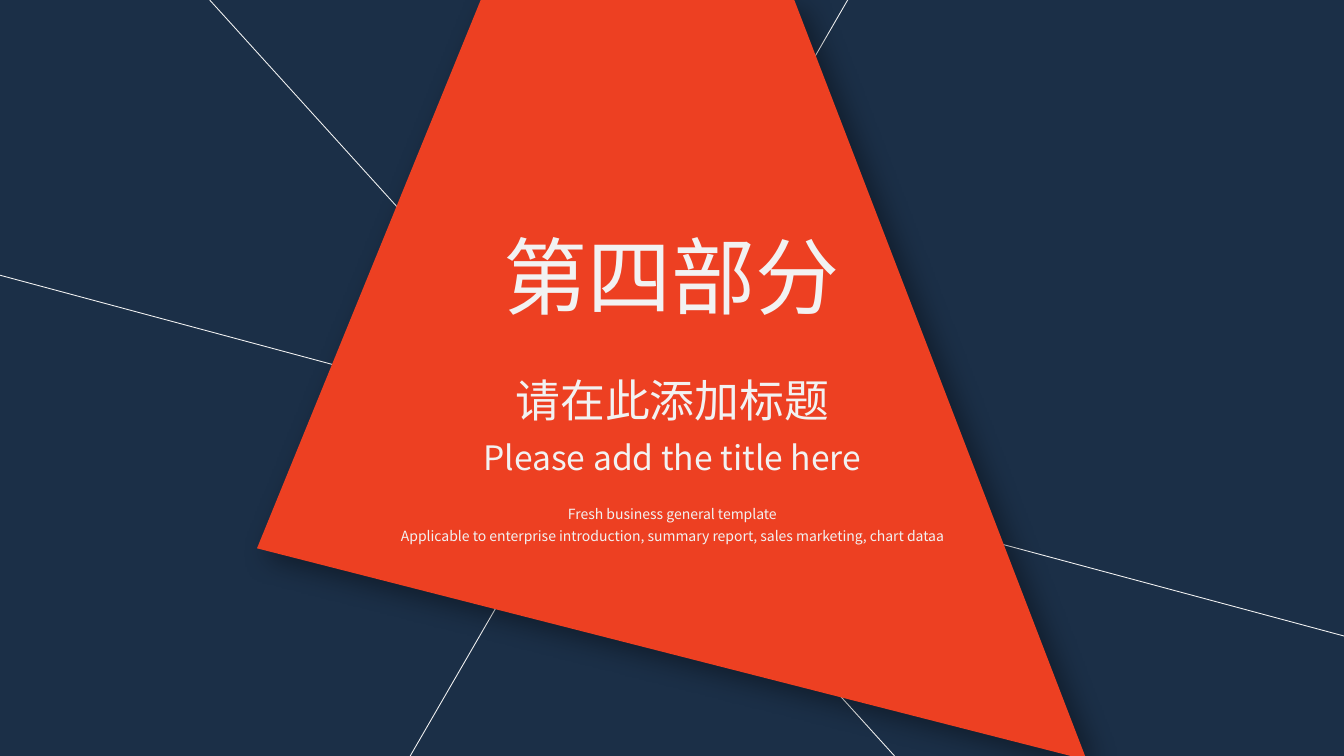
from lxml.etree import SubElement
from pptx import Presentation
from pptx.dml.color import RGBColor
from pptx.enum.shapes import MSO_CONNECTOR
from pptx.enum.text import MSO_ANCHOR, MSO_AUTO_SIZE, PP_ALIGN
from pptx.oxml.ns import qn
from pptx.util import Pt


def paint(fill, tone):
    fill.solid()
    fill.fore_color.rgb = RGBColor.from_string(tone)


class Deck:
    font = "Noto Sans CJK SC"
    navy = "1B2F47"
    red = "ED4022"
    pale = "F2F2F2"

    def __init__(self, show):
        self.slide = show.slides.add_slide(show.slide_layouts[5])
        self.shapes = self.slide.shapes
        paint(self.slide.background.fill, self.navy)

    def line(self, x1, y1, x2, y2):
        rule = self.shapes.add_connector(
            MSO_CONNECTOR.STRAIGHT, Pt(x1), Pt(y1), Pt(x2), Pt(y2))
        paint(rule.line.fill, self.pale)
        rule.line.width = Pt(0.63)
        SubElement(rule.element.spPr, qn("a:effectLst"))

    def panel(self, start, *rest):
        form = self.shapes.build_freeform(Pt(start[0]), Pt(start[1]))
        form.add_line_segments([(Pt(x), Pt(y)) for x, y in rest])
        shape = form.convert_to_shape()
        paint(shape.fill, self.red)
        shape.line.fill.background()
        shape.shadow.inherit = False
        effect = shape.element.spPr.find(qn("a:effectLst"))
        shade = SubElement(effect, qn("a:outerShdw"), blurRad=str(Pt(20)),
                           dist=str(Pt(10)), dir="2700000", algn="tl",
                           rotWithShape="0")
        tone = SubElement(shade, qn("a:srgbClr"), val="000000")
        SubElement(tone, qn("a:alpha"), val="40000")

    def fill(self, box, place, size, lines, wrap=True, space=1.0):
        box.left, box.top, box.width, box.height = map(Pt, place)
        frame = box.text_frame
        frame.word_wrap = wrap
        frame.auto_size = MSO_AUTO_SIZE.SHAPE_TO_FIT_TEXT
        frame.vertical_anchor = MSO_ANCHOR.TOP
        for i, line in enumerate(lines):
            para = frame.add_paragraph() if i else frame.paragraphs[0]
            para.alignment = PP_ALIGN.CENTER
            para.line_spacing = space
            run = para.add_run()
            run.text = line
            run.font.size = Pt(size)
            run.font.name = self.font
            paint(run.font.fill, self.pale)
            SubElement(run.font._element, qn("a:ea"), typeface=self.font)

    def title(self, place, size, line):
        box = self.shapes.title
        self.shapes.element.append(box.element)
        self.fill(box, place, size, [line], wrap=False)

    def text(self, place, size, *lines, **style):
        box = self.shapes.add_textbox(0, 0, 0, 0)
        self.fill(box, place, size, lines, **style)


def main():
    show = Presentation()
    show.slide_width, show.slide_height = Pt(960), Pt(540)
    deck = Deck(show)
    deck.line(605.5, 0, 293, 540)
    deck.line(639, 540, 149.8, 0)
    deck.line(0, 196.6, 960, 454.3)
    deck.panel((343.4, 0), (567.4, 0), (776.2, 542.9), (183.6, 391.7))
    deck.title((351.4, 157, 257, 80), 60, "第四部分")
    deck.text((184.3, 354.2, 591.8, 38.9), 10,
              "Fresh business general template",
              "Applicable to enterprise introduction, summary report, "
              "sales marketing, chart dataa", space=1.3)
    deck.text((332.6, 308.2, 295.2, 36), 24,
              "Please add the title here", wrap=False)
    deck.text((340.6, 262.8, 279.4, 46), 32, "请在此添加标题")
    show.save("out.pptx")


if __name__ == "__main__":
    main()
